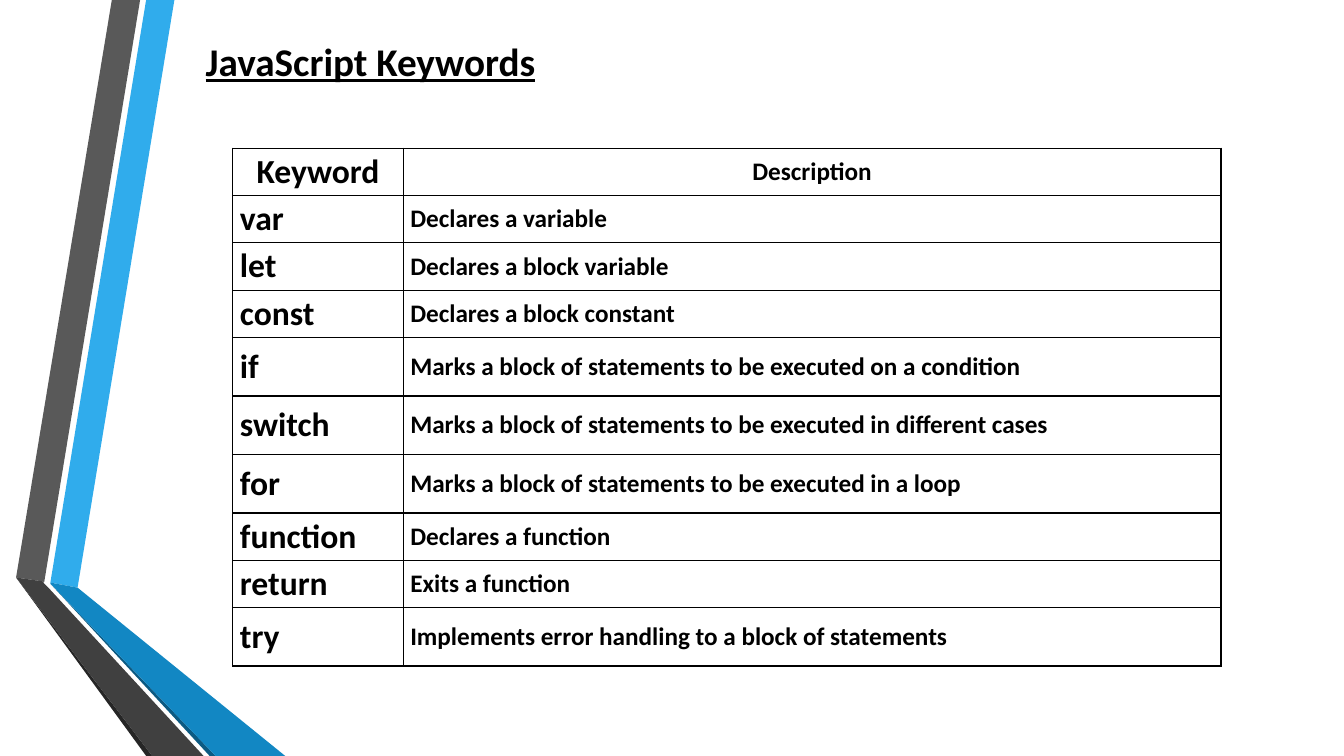
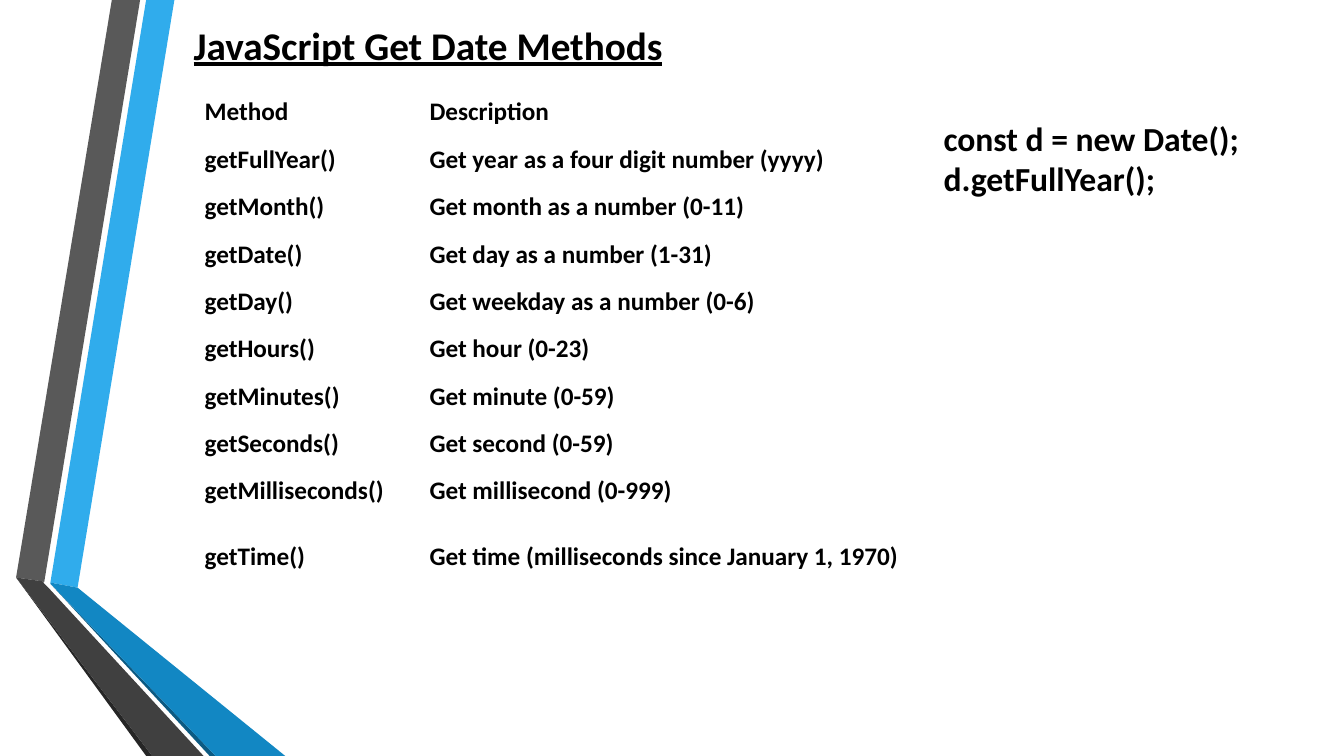
"""Build two JavaScript reference slides with a folded ribbon at the left."""
from dataclasses import dataclass

from lxml import etree
from pptx import Presentation
from pptx import util as u
from pptx.dml.color import RGBColor
from pptx.enum import text
from pptx.oxml.ns import qn


@dataclass(frozen=True)
class Theme:
    font: str = "Calibri"
    ink: str = "000000"
    ribbon_blue: str = "30ACEC"
    ribbon_grey: str = "595959"
    fold_blue: str = "1287C3"
    fold_grey: str = "404040"
    shade_blue: str = "0C5A82"
    shade_grey: str = "262626"
    title_size: int = 28
    large_size: int = 24
    body_size: int = 18
    border_width: int = 1


THEME = Theme()

RIBBONS = [
    (THEME.ribbon_blue, [(0.5, 5.78), (0.77, 5.83), (1.73, 0), (1.45, 0)]),
    (THEME.ribbon_grey, [(1.39, 0), (1.11, 0), (0.16, 5.73), (0.44, 5.77)]),
    (THEME.shade_grey, [(0.16, 5.73), (1.45, 7.5), (1.51, 7.5)]),
    (THEME.shade_blue, [(0.5, 5.79), (2.08, 7.5), (2.14, 7.5)]),
    (THEME.fold_blue, [(0.5, 5.79), (2.14, 7.5), (2.83, 7.5), (0.77, 5.83), (0.5, 5.78)]),
    (THEME.fold_grey, [(2.02, 7.5), (0.48, 5.83), (0.43, 5.78), (0.44, 5.77),
                       (0.16, 5.73), (1.51, 7.5)]),
]

KEYWORDS = [
    ("Keyword", "Description"),
    ("var", "Declares a variable"),
    ("let", "Declares a block variable"),
    ("const", "Declares a block constant"),
    ("if", "Marks a block of statements to be executed on a condition"),
    ("switch", "Marks a block of statements to be executed in different cases"),
    ("for", "Marks a block of statements to be executed in a loop"),
    ("function", "Declares a function"),
    ("return", "Exits a function"),
    ("try", "Implements error handling to a block of statements"),
]

DATE_METHODS = [
    ("Method", "Description"),
    ("getFullYear()", "Get year as a four digit number (yyyy)"),
    ("getMonth()", "Get month as a number (0-11)"),
    ("getDate()", "Get day as a number (1-31)"),
    ("getDay()", "Get weekday as a number (0-6)"),
    ("getHours()", "Get hour (0-23)"),
    ("getMinutes()", "Get minute (0-59)"),
    ("getSeconds()", "Get second (0-59)"),
    ("getMilliseconds()", "Get millisecond (0-999)"),
    ("getTime()", "Get time (milliseconds since January 1, 1970)"),
]


class SlideWriter:
    """Hold the theme and the current slide, and add elements to it."""

    def __init__(self, theme):
        self.theme = theme
        self.deck = Presentation()
        self.deck.slide_width = u.Inches(13.33)
        self.deck.slide_height = u.Inches(7.5)
        self.layout = self.deck.slide_layouts.get_by_name("Title Only")
        self.page = None

    def start_page(self, title, left, top, width):
        """Add a slide and set its underlined title."""
        self.page = self.deck.slides.add_slide(self.layout)
        box = self.page.shapes.title
        box.left, box.top = u.Inches(left), u.Inches(top)
        box.width, box.height = u.Inches(width), u.Inches(0.57)
        frame = box.text_frame
        frame.auto_size = text.MSO_AUTO_SIZE.SHAPE_TO_FIT_TEXT
        frame.vertical_anchor = text.MSO_ANCHOR.TOP
        para = frame.paragraphs[0]
        para.alignment = text.PP_ALIGN.LEFT
        self.span(para, title, self.theme.title_size).font.underline = True

    def span(self, para, words, size):
        """Add one bold run in the theme's font and ink."""
        span = para.add_run()
        span.text = words
        span.font.name = self.theme.font
        span.font.size = u.Pt(size)
        span.font.bold = True
        span.font.color.rgb = RGBColor.from_string(self.theme.ink)
        return span

    def share_ribbons(self, ribbons):
        """Draw the ribbons and move them to the layout all slides use."""
        group = self.page.shapes.add_group_shape()
        for color, points in ribbons:
            corners = [(u.Inches(x), u.Inches(y)) for x, y in points]
            outline = group.shapes.build_freeform(*corners[0])
            outline.add_line_segments(corners[1:], close=True)
            ribbon = outline.convert_to_shape()
            ribbon.shadow.inherit = False
            ribbon.fill.solid()
            ribbon.fill.fore_color.rgb = RGBColor.from_string(color)
            ribbon.line.fill.background()
        self.layout.shapes.element.append(group.element)

    def code(self, lines, left, top, width, height):
        """Add a text box with one line of code per line."""
        box = self.page.shapes.add_textbox(*map(u.Inches, (left, top, width, height)))
        frame = box.text_frame
        frame.word_wrap = True
        frame.auto_size = text.MSO_AUTO_SIZE.SHAPE_TO_FIT_TEXT
        para = frame.paragraphs[0]
        for index, line in enumerate(lines):
            if index:
                para.add_line_break()
            self.span(para, line, self.theme.large_size)

    def table(self, rows, left, top, widths, heights, sizes, margins,
              bordered=False, header_align=text.PP_ALIGN.LEFT):
        """Add an unfilled table with one text size per column."""
        frame = self.page.shapes.add_table(
            len(rows), len(widths), u.Inches(left), u.Inches(top),
            u.Inches(sum(widths)), u.Inches(sum(heights)))
        table = frame.table
        table.first_row = table.horz_banding = False
        for column, width in zip(table.columns, widths):
            column.width = u.Inches(width)
        for row, height in zip(table.rows, heights):
            row.height = u.Inches(height)
        side, edge = map(u.Inches, margins)
        for row_index, row in enumerate(rows):
            for column_index, words in enumerate(row):
                cell = table.cell(row_index, column_index)
                cell.margin_left = cell.margin_right = side
                cell.margin_top = cell.margin_bottom = edge
                cell.vertical_anchor = text.MSO_ANCHOR.MIDDLE
                self.border(cell, bordered)
                cell.fill.background()
                para = cell.text_frame.paragraphs[0]
                para.alignment = text.PP_ALIGN.LEFT if row_index else header_align
                self.span(para, words, sizes[column_index])

    def border(self, cell, visible):
        """Draw a thin line on all four sides of a cell, or clear them."""
        properties = cell._tc.get_or_add_tcPr()
        for name in ("a:lnL", "a:lnR", "a:lnT", "a:lnB"):
            line = etree.SubElement(properties, qn(name),
                                    w=str(u.Pt(self.theme.border_width)))
            fill = etree.SubElement(line, qn("a:solidFill" if visible else "a:noFill"))
            if visible:
                etree.SubElement(fill, qn("a:srgbClr"), val=self.theme.ink)


def main():
    """Write both slides and save the deck."""
    writer = SlideWriter(THEME)
    large, body = THEME.large_size, THEME.body_size
    short, tall, last = 0.47, 0.58, 0.83

    writer.start_page("JavaScript Keywords", 1.94, 0.32, 6.66)
    writer.share_ribbons(RIBBONS)
    writer.table(KEYWORDS, 2.31, 1.47, widths=(1.69, 8.11),
                 heights=[short] * 4 + [tall] * 3 + [short] * 2 + [tall],
                 sizes=(large, body), margins=(0.07, 0.03),
                 bordered=True, header_align=text.PP_ALIGN.CENTER)

    writer.start_page("JavaScript Get Date Methods", 1.82, 0.16, 8.56)
    writer.table(DATE_METHODS, 1.94, 0.88, widths=(2.23, 5.31),
                 heights=[short] * 9 + [last],
                 sizes=(body, body), margins=(0.09, 0.04))
    writer.code(["const d = new Date();", "d.getFullYear();"], 9.26, 1.12, 3.63, 0.91)

    writer.deck.save("out.pptx")


if __name__ == "__main__":
    main()
